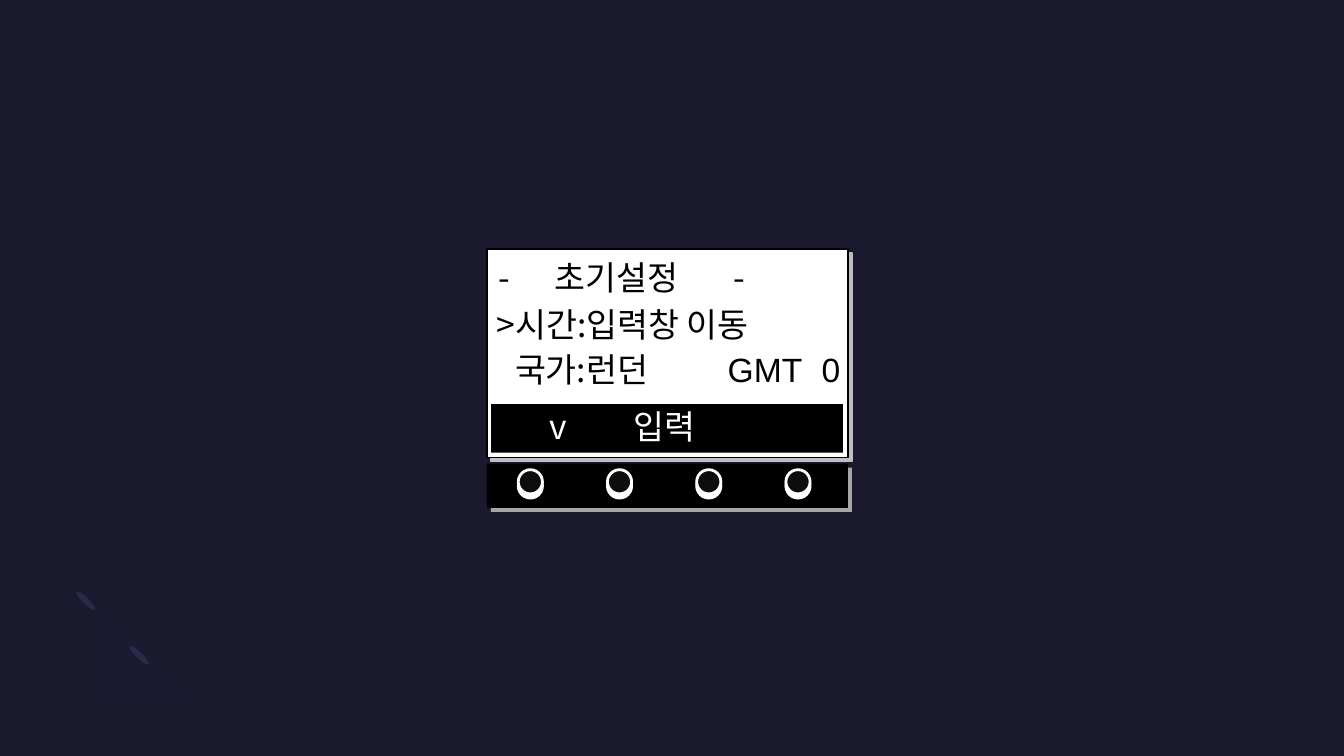
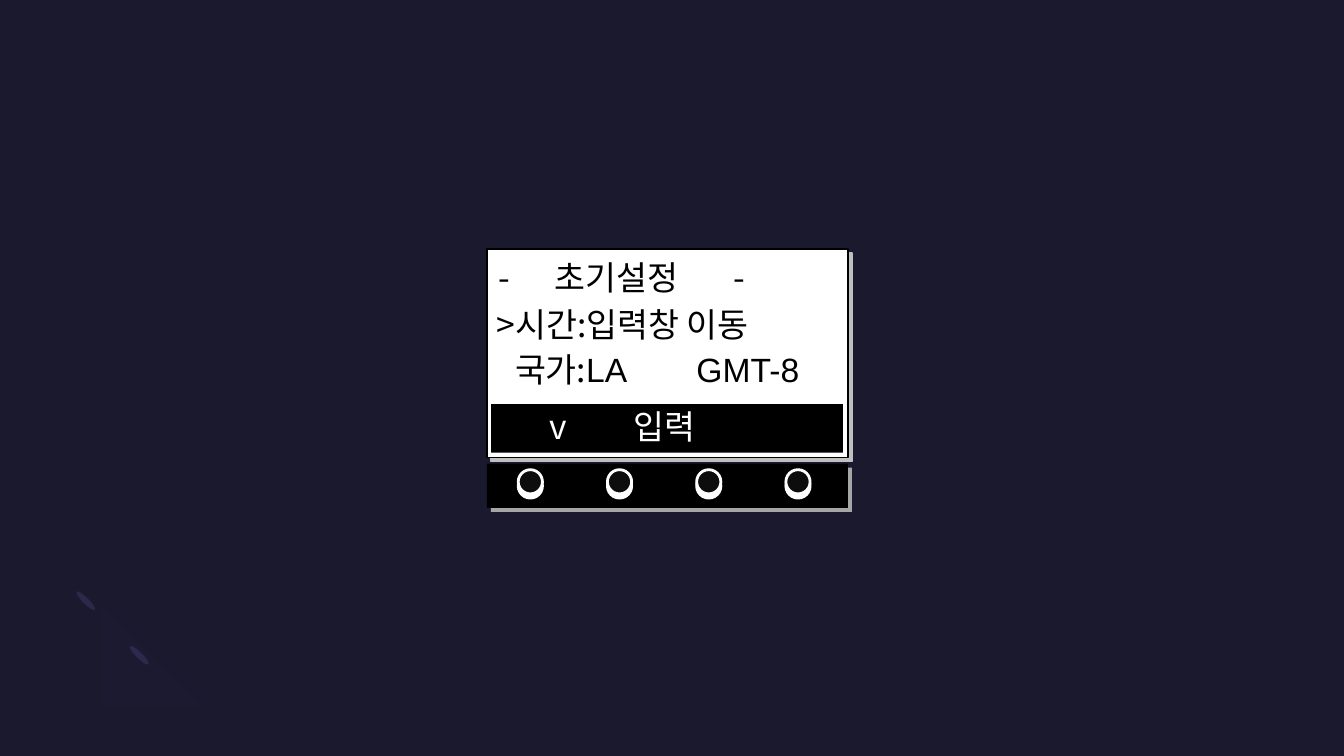
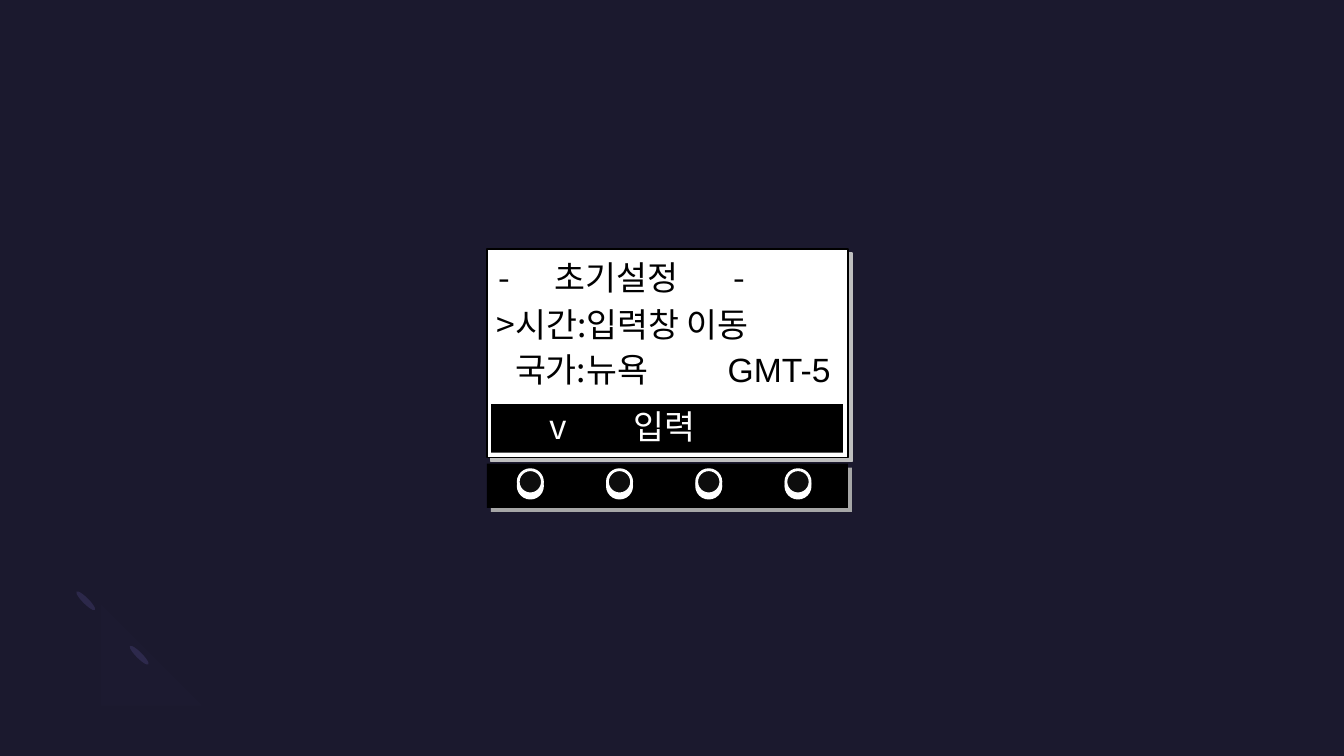
from lxml import etree
from pptx import Presentation
from pptx.dml.color import RGBColor
from pptx.enum import shapes, text
from pptx.oxml import ns
from pptx.util import Inches, Pt

NIGHT = RGBColor(0x1B, 0x19, 0x2E)
INDIGO = RGBColor(0x2C, 0x28, 0x4A)
LAVENDER = RGBColor(0x77, 0x71, 0xB2)
BLACK = RGBColor(0, 0, 0)
KNOB = RGBColor(0x0D, 0x0D, 0x0D)
WHITE = RGBColor(255, 255, 255)
SCREEN_SHADOW = RGBColor(0xBF, 0xBF, 0xBF)
PANEL_SHADOW = RGBColor(0xA6, 0xA6, 0xA6)

KOREAN = "Noto Sans CJK KR"
LATIN = "Arial"
RECT = shapes.MSO_SHAPE.RECTANGLE
OVAL = shapes.MSO_SHAPE.OVAL

# Country line of each slide: (text, font) runs, then its tab stops
COUNTRIES = [
    ([("국가:런던\t", KOREAN), ("GMT\t0", LATIN)], (2.11, 3.04)),
    ([("국가:", KOREAN), ("LA\tGMT-8", LATIN)], (1.8,)),
    ([("국가:뉴욕\t", KOREAN), ("GMT-5", LATIN)], (2.11,)),
]


def add_child(parent, tag, **attributes):
    return etree.SubElement(parent, ns.qn(tag), attributes)


def style(shape, fill, line=None, weight=1):
    shape.shadow.inherit = False
    shape.fill.solid()
    shape.fill.fore_color.rgb = fill
    if line is None:
        shape.line.fill.background()
    else:
        shape.line.color.rgb = line
        shape.line.width = Pt(weight)


def cast_shadow(shape, color, distance, angle):
    """Add a hard-edged shadow; distance in points, angle in degrees."""
    effects = shape.element.spPr.find(ns.qn("a:effectLst"))
    shadow = add_child(effects, "a:outerShdw", blurRad="0", dist=str(Pt(distance)),
                       dir=str(angle * 60000), algn="tl", rotWithShape="0")
    add_child(shadow, "a:srgbClr", val=str(color))


def add_block(slide, kind, left, top, width, height, fill, line=None, weight=1):
    block = slide.shapes.add_shape(kind, Inches(left), Inches(top), Inches(width), Inches(height))
    style(block, fill, line, weight)
    return block


def write_line(box, runs, color=BLACK, tabs=()):
    """Fill a text box with one display line, aligned by tab stops in inches."""
    frame = box.text_frame
    frame.word_wrap = True
    frame.auto_size = text.MSO_AUTO_SIZE.SHAPE_TO_FIT_TEXT
    frame.vertical_anchor = text.MSO_ANCHOR.TOP
    paragraph = frame.paragraphs[0]
    paragraph.alignment = text.PP_ALIGN.LEFT
    font = paragraph.font
    font.size, font.name = Pt(24), KOREAN
    font.color.rgb = color
    properties = paragraph._p.pPr
    defaults = properties.find(ns.qn("a:defRPr"))
    add_child(defaults, "a:ea", typeface=KOREAN)
    if tabs:
        stops = etree.Element(ns.qn("a:tabLst"))
        for stop in tabs:
            add_child(stops, "a:tab", pos=str(Inches(stop)), algn="l")
        defaults.addprevious(stops)
    for words, typeface in runs:
        run = paragraph.add_run()
        run.text = words
        if typeface != KOREAN:
            run.font.name = typeface


def add_line(slide, left, top, runs, color=BLACK, tabs=()):
    box = slide.shapes.add_textbox(Inches(left), Inches(top), Inches(3.6), Inches(0.5))
    write_line(box, runs, color, tabs)


def bezier(start, control1, control2, end, steps=8):
    for step in range(1, steps + 1):
        t = step / steps
        weights = ((1 - t) ** 3, 3 * t * (1 - t) ** 2, 3 * t * t * (1 - t), t ** 3)
        yield tuple(sum(w * point[axis] for w, point in
                        zip(weights, (start, control1, control2, end))) for axis in (0, 1))


def add_ornament(slide, left, top):
    """Draw a faint open ring with a dark ellipse at each end."""
    def at(*points):
        return [(left + x, top + y) for x, y in points]

    for x, y in ((0.77, 0.55), (0.24, 0.01)):
        tip = add_block(slide, OVAL, left + x, top + y, 0.06, 0.26, INDIGO)
        tip.rotation = 135
    outline = at((0.18, 0.77))
    outline += bezier(*at((0.18, 0.77), (-0.02, 0.57), (0, 0.23), (0.23, 0)))
    outline += at((0.41, 0.18))
    outline += bezier(*at((0.41, 0.18), (0.29, 0.29), (0.28, 0.47), (0.38, 0.56)))
    outline += bezier(*at((0.38, 0.56), (0.48, 0.66), (0.65, 0.65), (0.77, 0.54)))
    outline += at((0.94, 0.72))
    outline += bezier(*at((0.94, 0.72), (0.72, 0.94), (0.37, 0.97), (0.18, 0.77)))
    builder = slide.shapes.build_freeform(*outline[0], scale=Inches(1))
    builder.add_line_segments(outline[1:], close=True)
    ring = builder.convert_to_shape()
    style(ring, LAVENDER)
    tint = ring.element.spPr.find(ns.qn("a:solidFill"))[0]
    add_child(tint, "a:alpha", val="2000")


def add_button_panel(slide, left, top):
    panel = add_block(slide, RECT, left, top, 3.58, 0.44, BLACK)
    cast_shadow(panel, PANEL_SHADOW, 4, 45)
    for index in range(4):
        knob = add_block(slide, OVAL, left + 0.31 + index * 0.885, top + 0.06,
                         0.24, 0.24, KNOB, WHITE, 2)
        cast_shadow(knob, WHITE, 3, 90)


def add_screen(slide, left, top, country, country_tabs):
    screen = add_block(slide, RECT, left, top, 3.58, 2.07, WHITE, BLACK)
    cast_shadow(screen, SCREEN_SHADOW, 4, 45)
    add_block(slide, RECT, left + 0.04, top + 1.54, 3.49, 0.48, BLACK)

    title = slide.shapes.title
    title.left, title.top = Inches(left + 0.01), Inches(top + 0.03)
    title.width, title.height = Inches(3.6), Inches(0.5)
    write_line(title, [("-\t초기설정\t-", KOREAN)], tabs=(0.56, 2.33))
    slide.shapes.element.append(title.element)  # bring in front of the screen

    add_line(slide, left, top + 1.51, [("\tv\t입력", KOREAN)], WHITE, (0.52, 1.36))
    add_line(slide, left + 0.18, top + 0.94, country, tabs=country_tabs)
    add_line(slide, left, top + 0.5, [(">시간:입력창 이동", KOREAN)])


def main():
    deck = Presentation()
    deck.slide_width, deck.slide_height = Inches(13.33), Inches(7.5)
    backdrop = deck.slide_master.background.fill
    backdrop.solid()
    backdrop.fore_color.rgb = NIGHT
    for country, tabs in COUNTRIES:
        slide = deck.slides.add_slide(deck.slide_layouts.get_by_name("Title Only"))
        add_ornament(slide, 0.58, 5.82)
        add_button_panel(slide, 4.83, 4.6)
        add_screen(slide, 4.83, 2.47, country, tabs)
    deck.save("out.pptx")


if __name__ == "__main__":
    main()
